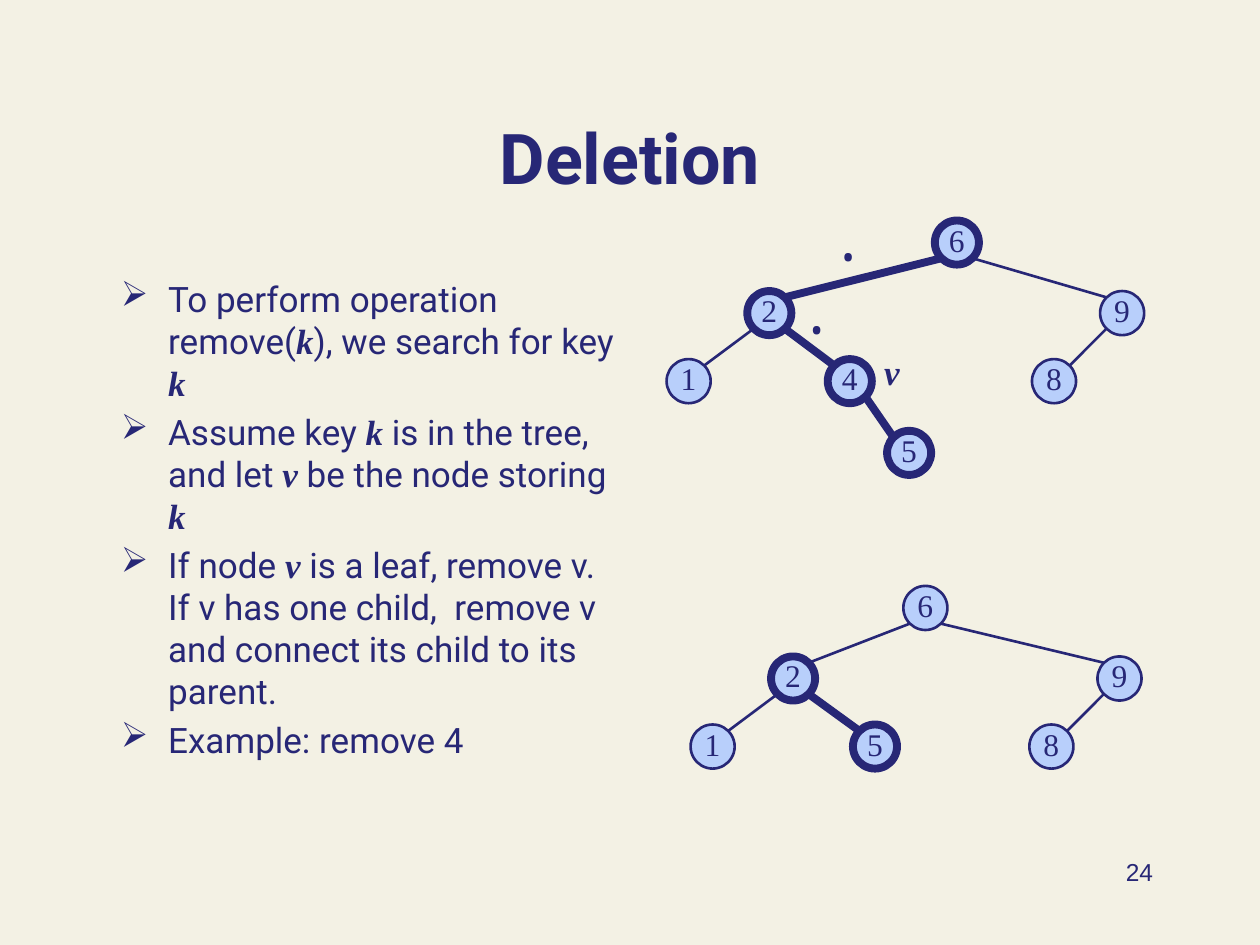
from dataclasses import dataclass

import pptx
import pptx.dml.color
import pptx.enum.shapes
import pptx.enum.text
import pptx.oxml
import pptx.oxml.ns
import pptx.util

Pt = pptx.util.Pt
ALIGN = pptx.enum.text.PP_ALIGN
ANCHOR = pptx.enum.text.MSO_ANCHOR

NAVY = "272776"
SKY = "B8CFFB"
CREAM = "F3F1E4"
SERIF = "Times New Roman"
SANS = "Roboto"
DIAMETER = 25.2
INSET = 3.6
THIN, THICK = 1.5, 4.5


@dataclass
class Node:
    key: str
    x: float
    y: float
    parent: str = ""
    visited: bool = False


@dataclass
class Label:
    text: str
    x: float
    y: float
    w: float
    h: float
    size: float
    font: str
    bold: bool = False
    italic: bool = False
    align: ALIGN = ALIGN.LEFT
    anchor: ANCHOR = ANCHOR.TOP


def color(value: str) -> pptx.dml.color.RGBColor:
    return pptx.dml.color.RGBColor.from_string(value)


def style_run(r, font: str, size: float, bold: bool = False, italic: bool = False) -> None:
    r.font.name = font
    r.font.size = Pt(size)
    r.font.bold = bold
    r.font.italic = italic
    r.font.color.rgb = color(NAVY)


def add_text_box(slide, x: float, y: float, w: float, h: float):
    tf = slide.shapes.add_textbox(Pt(x), Pt(y), Pt(w), Pt(h)).text_frame
    tf.word_wrap = True
    return tf


def add_label(slide, label: Label) -> None:
    tf = add_text_box(slide, label.x, label.y, label.w, label.h)
    tf.vertical_anchor = label.anchor
    p = tf.paragraphs[0]
    p.text = label.text
    p.alignment = label.align
    style_run(p.runs[0], label.font, label.size, label.bold, label.italic)


def add_bullet(p) -> None:
    pPr = p._p.get_or_add_pPr()
    pPr.set("marL", str(Pt(27)))
    pPr.set("indent", str(-Pt(27)))
    ns = pptx.oxml.ns.nsdecls("a")
    for xml in (
        f'<a:buClr {ns}><a:srgbClr val="{NAVY}"/></a:buClr>',
        f'<a:buChar {ns} char="➢"/>',
    ):
        pPr.append(pptx.oxml.parse_xml(xml))


def add_bullets(slide, items: list[str]) -> None:
    tf = add_text_box(slide, 62, 154.8, 298, 347.8)
    for i, item in enumerate(items):
        p = tf.add_paragraph() if i else tf.paragraphs[0]
        if i:
            p.space_before = Pt(4)
        add_bullet(p)
        for j, part in enumerate(item.split("*")):
            if part:
                variable = j % 2 == 1
                r = p.add_run()
                r.text = part
                style_run(r, SERIF if variable else SANS, 20, variable, variable)


def add_edge(slide, parent: Node, child: Node) -> None:
    near, far = INSET, DIAMETER - INSET
    left = child.x < parent.x
    px, cx = (near, far) if left else (far, near)
    line = slide.shapes.add_connector(
        pptx.enum.shapes.MSO_CONNECTOR.STRAIGHT,
        Pt(parent.x + px), Pt(parent.y + far),
        Pt(child.x + cx), Pt(child.y + near),
    )
    line.line.color.rgb = color(NAVY)
    line.line.width = Pt(THICK if parent.visited and child.visited else THIN)
    line._element.spPr.append(
        pptx.oxml.parse_xml(f'<a:effectLst {pptx.oxml.ns.nsdecls("a")}/>'))


def add_node(slide, node: Node) -> None:
    sp = slide.shapes.add_shape(
        pptx.enum.shapes.MSO_SHAPE.OVAL,
        Pt(node.x), Pt(node.y), Pt(DIAMETER), Pt(DIAMETER))
    sp.shadow.inherit = False
    sp.fill.solid()
    sp.fill.fore_color.rgb = color(SKY)
    sp.line.color.rgb = color(NAVY)
    sp.line.width = Pt(THICK if node.visited else THIN)
    tf = sp.text_frame
    tf.margin_left = tf.margin_right = tf.margin_top = 0
    tf.margin_bottom = Pt(3.6)
    tf.word_wrap = False
    tf.vertical_anchor = ANCHOR.MIDDLE
    p = tf.paragraphs[0]
    p.text = node.key
    p.alignment = ALIGN.CENTER
    style_run(p.runs[0], SERIF, 18)


def add_tree(slide, nodes: list[Node]) -> None:
    by_key = {node.key: node for node in nodes}
    for node in nodes:
        if node.parent:
            add_edge(slide, by_key[node.parent], node)
    for node in nodes:
        add_node(slide, node)


BULLETS = [
    "To perform operation remove(*k*), we search for key *k*",
    "Assume key *k* is in the tree, and let *v *be the node storing *k*",
    "If node *v* is a leaf, remove v. If v has one child,  remove v "
    "and connect its child to its parent.",
    "Example: remove 4",
]

BEFORE = [
    Node("6", 534.2, 126, visited=True),
    Node("9", 628.6, 166.3, "6"),
    Node("2", 427, 166.3, "6", True),
    Node("4", 473, 205.2, "2", True),
    Node("1", 380.9, 205.2, "2"),
    Node("8", 589.7, 205.2, "9"),
    Node("5", 506.9, 246.2, "4", True),
]

AFTER = [
    Node("6", 516.2, 334.8),
    Node("9", 627.1, 375.1, "6"),
    Node("2", 440.6, 375.1, "6", True),
    Node("5", 487.4, 414, "2", True),
    Node("1", 394.6, 414, "2"),
    Node("8", 588.2, 414, "9"),
]

LABELS = [
    Label("Deletion", 54, 38.9, 612, 77.8, 40, SANS, bold=True,
          align=ALIGN.CENTER, anchor=ANCHOR.BOTTOM),
    Label("24", 516.2, 486, 149.8, 36, 14, "Arial", align=ALIGN.RIGHT),
    Label("v", 498.2, 196.6, 23, 31, 20, SERIF, bold=True, italic=True),
    Label("•", 473.8, 131, 25.2, 31, 20, "Open Sans"),
    Label("•", 455.8, 172.8, 25.2, 31, 20, "Open Sans"),
]


def main() -> None:
    prs = pptx.Presentation()
    prs.slide_width, prs.slide_height = Pt(720), Pt(540)
    s = prs.slides.add_slide(prs.slide_layouts[6])
    s.background.fill.solid()
    s.background.fill.fore_color.rgb = color(CREAM)
    add_bullets(s, BULLETS)
    for tree in (BEFORE, AFTER):
        add_tree(s, tree)
    for label in LABELS:
        add_label(s, label)
    prs.save("out.pptx")


if __name__ == "__main__":
    main()
